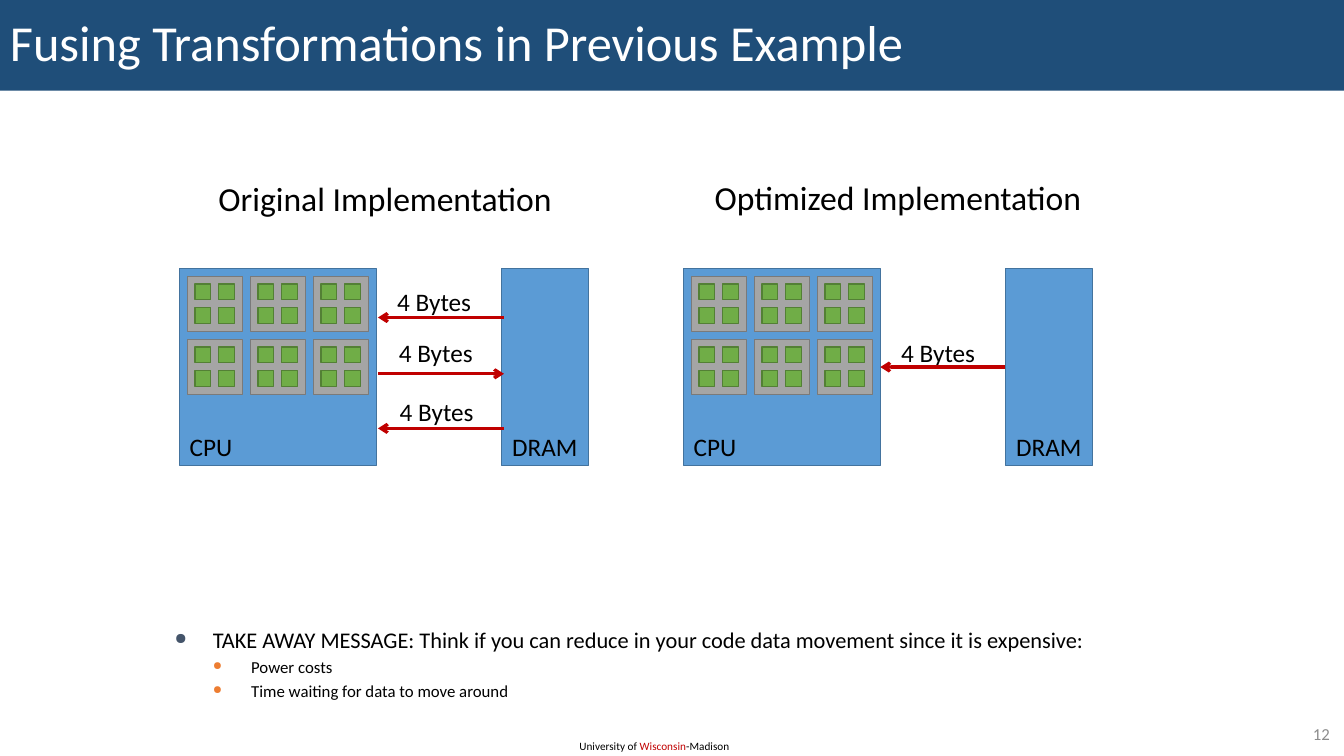
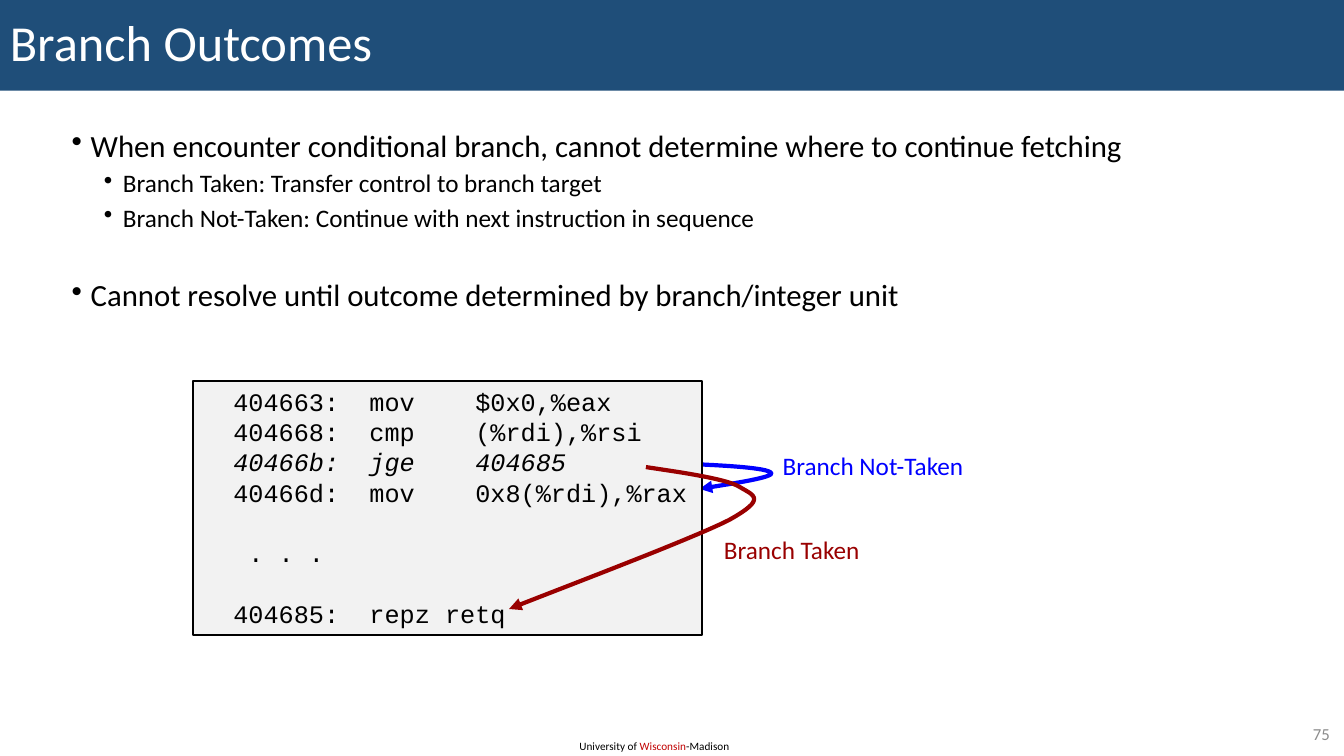
from lxml import etree
from pptx import Presentation
from pptx.dml.color import RGBColor
from pptx.enum.shapes import MSO_CONNECTOR, MSO_SHAPE
from pptx.enum.text import MSO_ANCHOR, MSO_AUTO_SIZE, PP_ALIGN
from pptx.oxml.ns import qn
from pptx.util import Inches, Pt

RECT = MSO_SHAPE.RECTANGLE
STRAIGHT = MSO_CONNECTOR.STRAIGHT
TOP, MIDDLE = MSO_ANCHOR.TOP, MSO_ANCHOR.MIDDLE
LEFT, CENTER, RIGHT = PP_ALIGN.LEFT, PP_ALIGN.CENTER, PP_ALIGN.RIGHT
GROW = MSO_AUTO_SIZE.SHAPE_TO_FIT_TEXT

COLS, ROWS = 160, 90
WIDE, HIGH = Inches(13.333), Inches(7.5)
SANS, MONO = "Calibri", "Courier New"
COLORS = {
    "band": "1F4E79", "white": "FFFFFF", "black": "000000", "gray": "8C8C8C",
    "red": "C00000", "chip": "5B9BD5", "chip_edge": "43739E",
    "core": "A5A5A5", "core_edge": "7A7A7A", "cell": "70AD47",
    "cell_edge": "538035", "slate": "44546A", "orange": "ED7D31",
    "code": "F2F2F2", "blue": "0000FF", "maroon": "990000",
}

CHIP_TOP, CHIP = 32, 23.4
CHIP_MID = CHIP_TOP + CHIP / 2
DRAM_X, DRAM_W = 38.3, 10.4
PAD = 0.9
FLOW_FROM, FLOW_TO = 23.6, 38.6
CODE_LINE = 21.6
CODE = [
    ("  404663:  mov    $0x0,%eax", False, 0),
    ("  404668:  cmp    (%rdi),%rsi", False, 0),
    ("  40466b:  jge    404685", True, 0),
    ("  40466d:  mov    0x8(%rdi),%rax", False, 0),
    ("   . . .", False, CODE_LINE),
    ("  404685:  repz retq", False, CODE_LINE),
]


def col(n):
    return round(WIDE * n / COLS)


def row(n):
    return round(HIGH * n / ROWS)


def area(x, y, w, h):
    return col(x), row(y), col(w), row(h)


def color(name):
    return RGBColor.from_string(COLORS[name])


def style(para, size, ink="black", face=SANS):
    para.font.size = Pt(size)
    para.font.name = face
    para.font.color.rgb = color(ink)


def bullet(para, mark, left, hang, tint=None, share=100):
    props = para._p.get_or_add_pPr()
    props.set("marL", str(Inches(left)))
    props.set("indent", str(-Inches(hang)))
    if tint:
        fill = etree.SubElement(props, qn("a:buClr"))
        etree.SubElement(fill, qn("a:srgbClr"), val=COLORS[tint])
    etree.SubElement(props, qn("a:buSzPct"), val=str(share * 1000))
    etree.SubElement(props, qn("a:buChar"), char=mark)


def paras(frame, items):
    for i, item in enumerate(items):
        yield (frame.add_paragraph() if i else frame.paragraphs[0]), item


def box(slide, place, fill, edge=None, width=1):
    shape = slide.shapes.add_shape(RECT, *area(*place))
    shape.shadow.inherit = False
    shape.fill.solid()
    shape.fill.fore_color.rgb = color(fill)
    if edge:
        shape.line.color.rgb = color(edge)
        shape.line.width = Pt(width)
    else:
        shape.line.fill.background()
    return shape


def frame(slide, place, anchor=TOP):
    area_text = slide.shapes.add_textbox(*area(*place)).text_frame
    area_text.word_wrap = True
    area_text.vertical_anchor = anchor
    return area_text


def label(slide, place, text, size=18, ink="black", align=LEFT):
    tag = frame(slide, place)
    tag.word_wrap = False
    tag.auto_size = GROW
    para = tag.paragraphs[0]
    para.text = text
    para.alignment = align
    style(para, size, ink)


def arrow(line, ink, width, kind):
    line.color.rgb = color(ink)
    line.width = Pt(width)
    etree.SubElement(line._get_or_add_ln(), qn("a:tailEnd"), type=kind)


def base(deck, title, number):
    slide = deck.slides.add_slide(deck.slide_layouts[6])
    foot = frame(slide, (67.8, 87.4, 20.6, 2.9)).paragraphs[0]
    style(foot, 8)
    for text, ink in (("University of ", "black"), ("Wisconsin", "red"),
                      ("-Madison", "black")):
        run = foot.add_run()
        run.text = text
        run.font.color.rgb = color(ink)
    band = box(slide, (0, 0, COLS, 10.8), "band").text_frame
    band.word_wrap = True
    band.vertical_anchor = MIDDLE
    head = band.paragraphs[0]
    head.text = title
    head.alignment = LEFT
    head.line_spacing = 0.9
    style(head, 36, "white")
    page = frame(slide, (150.4, 85.6, 9.1, 3.5), MIDDLE).paragraphs[0]
    page.text = number
    page.alignment = RIGHT
    style(page, 12, "gray")
    return slide


def core(slide, x, y):
    box(slide, (x, y, 6.6, 6.6), "core", "core_edge")
    for i in range(4):
        place = (x + PAD + i % 2 * 2.8, y + PAD + i // 2 * 2.8, 1.9, 1.9)
        box(slide, place, "cell", "cell_edge")


def flow(slide, x, y, cpu, dram, out=False):
    ends = [x + FLOW_TO, x + FLOW_FROM]
    if out:
        ends.reverse()
    wire = slide.shapes.add_connector(
        STRAIGHT, col(ends[0]), row(y), col(ends[1]), row(y))
    if y == CHIP_MID:
        wire.begin_connect(dram, 1)
        wire.end_connect(cpu, 3)
    arrow(wire.line, "red", 2.25, "arrow")
    etree.SubElement(wire._element.spPr, qn("a:effectLst"))


def system(slide, x, flows):
    cpu = box(slide, (x, CHIP_TOP, CHIP, CHIP), "chip", "chip_edge")
    dram = box(slide, (x + DRAM_X, CHIP_TOP, DRAM_W, CHIP),
               "chip", "chip_edge")
    label(slide, (x, 50.8, 7.6, 4.8), "CPU")
    label(slide, (x + DRAM_X + 0.1, 50.8, 10.3, 4.8), "DRAM")
    for i in range(6):
        core(slide, x + PAD + i % 3 * 7.5, CHIP_TOP + PAD + i // 3 * 7.5)
    for y, dx, top, out in flows:
        label(slide, (x + dx, top, 11.3, 4.8), "4 Bytes")
        flow(slide, x, y, cpu, dram, out)


def curve(slide, start, parts, ink):
    spots, p = [], start
    for a, b, q in parts:
        for i in range(1, 17):
            t = i / 16
            s = 1 - t
            x, y = (s**3 * p[k] + 3 * s * s * t * a[k]
                    + 3 * s * t * t * b[k] + t**3 * q[k] for k in (0, 1))
            spots.append((col(x), row(y)))
        p = q
    pen = slide.shapes.build_freeform(col(start[0]), row(start[1]))
    pen.add_line_segments(spots, close=False)
    shape = pen.convert_to_shape()
    shape.shadow.inherit = False
    shape.fill.background()
    arrow(shape.line, ink, 3, "triangle")


def fusing(deck):
    slide = base(deck, "Fusing Transformations in Previous Example", "12")
    label(slide, (24.6, 20.6, 42.5, 6), "Original Implementation",
          24, align=CENTER)
    label(slide, (83.6, 20.5, 46.6, 6), "Optimized Implementation",
          24, align=CENTER)
    system(slide, 21.4, [(37.8, 24.7, 33.5, False),
                         (44.5, 24.9, 39.6, True),
                         (51, 25, 46.6, False)])
    system(slide, 81.4, [(CHIP_MID, 24.7, 39.6, False)])
    points = [
        ("TAKE AWAY MESSAGE: Think if you can reduce in your code data "
         "movement since it is expensive:", 0, 16, "slate"),
        ("Power costs", 1, 12, "orange"),
        ("Time waiting for data to move around", 1, 12, "orange"),
    ]
    notes = frame(slide, (19.6, 74, 114, 11.5))
    for para, (text, level, size, tint) in paras(notes, points):
        para.text = text
        para.level = level
        bullet(para, "●", 0.38 * (level + 1), 0.38, tint, 70)
        para.space_before = Pt(0.2 * size if level else 0)
        style(para, size)


def branch(deck):
    slide = base(deck, "Branch Outcomes", "75")
    points = [
        ("When encounter conditional branch, cannot determine where to "
         "continue fetching", 0, 22, 0),
        ("Branch Taken: Transfer control to branch target", 1, 18, 5),
        ("Branch Not-Taken: Continue with next instruction in sequence",
         1, 18, 5),
        ("Cannot resolve until outcome determined by branch/integer unit",
         0, 22, 34),
    ]
    body = frame(slide, (5.9, 15, 142, 24))
    for para, (text, level, size, gap) in paras(body, points):
        para.text = text
        para.level = level
        bullet(para, "•", 0.31 + 0.32 * level, 0.19)
        para.line_spacing = 0.9
        para.space_before = Pt(gap)
        style(para, size)
    label(slide, (85, 63, 18.7, 4.8), "Branch Taken", ink="maroon")
    curve(slide, (81.2, 55.2),
          [((86.4, 55.4), (91.4, 55.7), (91.8, 56.3)),
           ((92.2, 56.8), (87.7, 57.5), (83.3, 58.2))], "blue")
    label(slide, (92, 53, 24.2, 4.8), "Branch Not-Taken", ink="blue")
    code = box(slide, (23, 45.4, 60.6, 30.2), "code", "black", 1.5).text_frame
    code.word_wrap = True
    code.vertical_anchor = TOP
    for para, (text, slant, gap) in paras(code, CODE):
        para.text = text
        para.alignment = LEFT
        para.line_spacing = Pt(CODE_LINE)
        para.space_before = Pt(gap)
        style(para, 18, face=MONO)
        para.font.italic = slant
    curve(slide, (76.9, 55.6),
          [((79.3, 56), (86.5, 56.9), (88.1, 58)),
           ((89.8, 59), (91.3, 59.4), (86.8, 61.9)),
           ((82.1, 64.3), (65, 70.7), (60.6, 72.5))], "maroon")


def main():
    deck = Presentation()
    deck.slide_width, deck.slide_height = WIDE, HIGH
    fusing(deck)
    branch(deck)
    deck.save("out.pptx")


if __name__ == "__main__":
    main()
